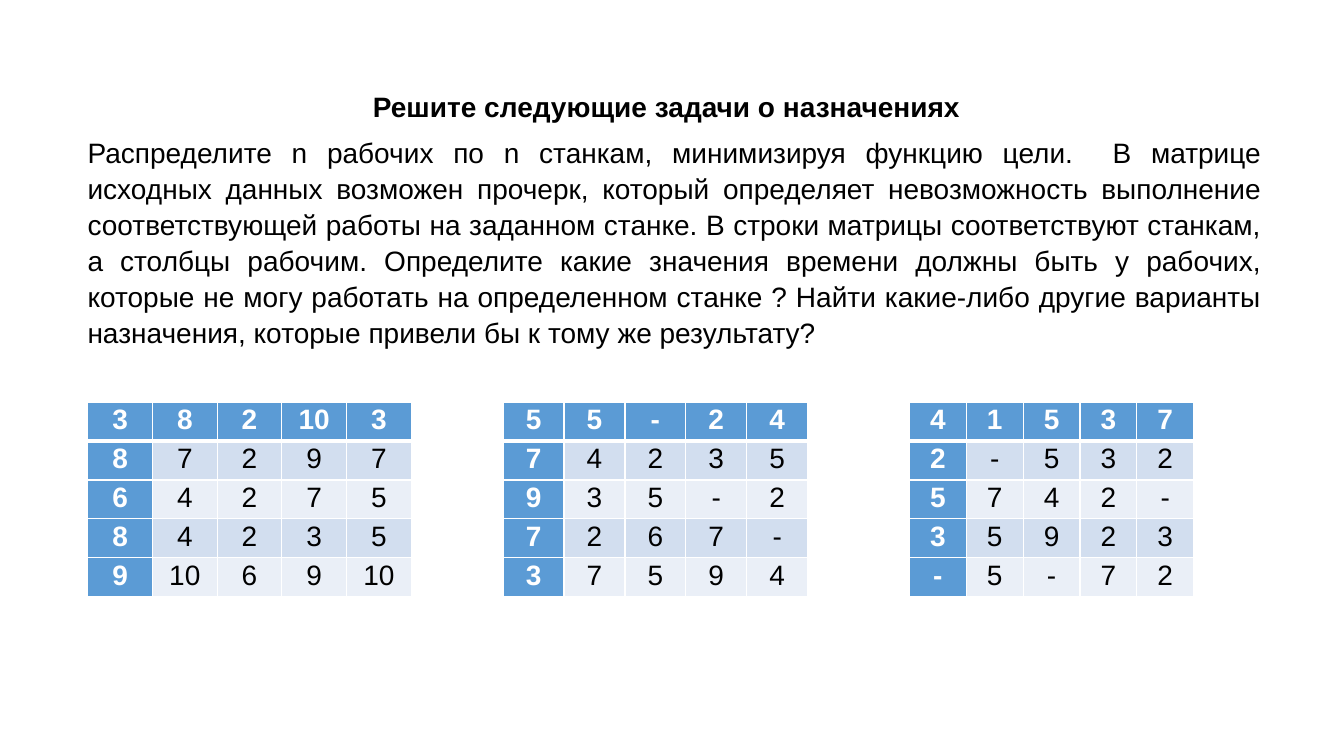
"""Build the slide with three assignment problem matrices."""
from lxml.etree import SubElement
from pptx import Presentation
from pptx.dml.color import RGBColor
from pptx.enum.text import MSO_ANCHOR as Anchor, MSO_AUTO_SIZE as AutoSize, PP_ALIGN as Align
from pptx.oxml import parse_xml
from pptx.oxml.ns import nsdecls, qn
from pptx.util import Inches, Pt

HEADING = "Решите следующие задачи о назначениях"
TASK = (
    "Распределите n рабочих по n станкам, минимизируя функцию цели.  В матрице "
    "исходных данных возможен прочерк, который определяет невозможность выполнение "
    "соответствующей работы на заданном станке. В строки матрицы соответствуют станкам, "
    "а столбцы рабочим. Определите какие значения времени должны быть у рабочих, "
    "которые не могу работать на определенном станке ? Найти какие-либо другие варианты "
    "назначения, которые привели бы к тому же результату?"
)
MATRICES = [
    (0.87, 3.21, ["3 8 2 10 3", "8 7 2 9 7", "6 4 2 7 5", "8 4 2 3 5", "9 10 6 9 10"]),
    (4.99, 3.02, ["5 5 - 2 4", "7 4 2 3 5", "9 3 5 - 2", "7 2 6 7 -", "3 7 5 9 4"]),
    (9.02, 2.82, ["4 1 5 3 7", "2 - 5 3 2", "5 7 4 2 -", "3 5 9 2 3", "- 5 - 7 2"]),
]
MATRIX_TOP, MATRIX_HEIGHT = 3.99, 1.93
BLUE, BANDS = "5B9BD5", ("EAEFF7", "D2DEEF")
WHITE, BLACK = "FFFFFF", "000000"
TEXT_FRAME = {"word_wrap": True, "auto_size": AutoSize.NONE, "vertical_anchor": Anchor.TOP}
CELL = {"margin_left": Inches(0.07), "margin_right": Inches(0.07),
        "margin_top": 0, "margin_bottom": 0, "vertical_anchor": Anchor.TOP}


def apply(target, values):
    for attribute, value in values.items():
        setattr(target, attribute, value)


def color(hex_text):
    return RGBColor.from_string(hex_text)


def write(frame, text, align, bold=False, ink=BLACK):
    paragraph = frame.paragraphs[0]
    run = paragraph.add_run()
    run.text = text
    apply(paragraph, {"alignment": align, "line_spacing": 1.07,
                      "space_before": Pt(0), "space_after": Pt(0)})
    apply(run.font, {"name": "Arial", "size": Pt(20), "bold": bold})
    run.font.color.rgb = color(ink)


def place_text(box, area, text, align, bold=False):
    apply(box, dict(zip(("left", "top", "width", "height"), map(Inches, area))))
    apply(box.text_frame, TEXT_FRAME)
    write(box.text_frame, text, align, bold)


def add_borders(cell, widths):
    properties = cell._tc.get_or_add_tcPr()
    for order, (side, width) in enumerate(widths.items()):
        line = parse_xml(f'<a:ln{side} {nsdecls("a")} w="{Pt(width)}"/>')
        SubElement(SubElement(line, qn("a:solidFill")), qn("a:srgbClr"), val=WHITE)
        properties.insert(order, line)


def add_matrix(slide, left, width, lines):
    rows = [line.split() for line in lines]
    size = len(rows)
    table = slide.shapes.add_table(size, size, Inches(left), Inches(MATRIX_TOP),
                                   Inches(width), Inches(MATRIX_HEIGHT)).table
    for r, row in enumerate(rows):
        for c, value in enumerate(row):
            cell = table.cell(r, c)
            header = r == 0 or c == 0
            apply(cell, CELL)
            cell.fill.solid()
            cell.fill.fore_color.rgb = color(BLUE if header else BANDS[r % 2])
            write(cell.text_frame, value, Align.CENTER, header, WHITE if header else BLACK)
            add_borders(cell, {"L": 1, "R": 1, "T": 3 if r == 1 else 1, "B": 3 if r == 0 else 1})


def main():
    deck = Presentation()
    apply(deck, {"slide_width": Inches(13.33), "slide_height": Inches(7.5)})
    slide = deck.slides.add_slide(deck.slide_layouts.get_by_name("Title Only"))
    place_text(slide.shapes.title, (0.77, 0.81, 11.68, 0.45), HEADING, Align.CENTER, True)
    task_box = slide.shapes.add_textbox(0, 0, 0, 0)
    place_text(task_box, (0.77, 1.27, 11.84, 2.25), TASK, Align.JUSTIFY)
    for left, width, lines in MATRICES:
        add_matrix(slide, left, width, lines)
    deck.save("out.pptx")


if __name__ == "__main__":
    main()
